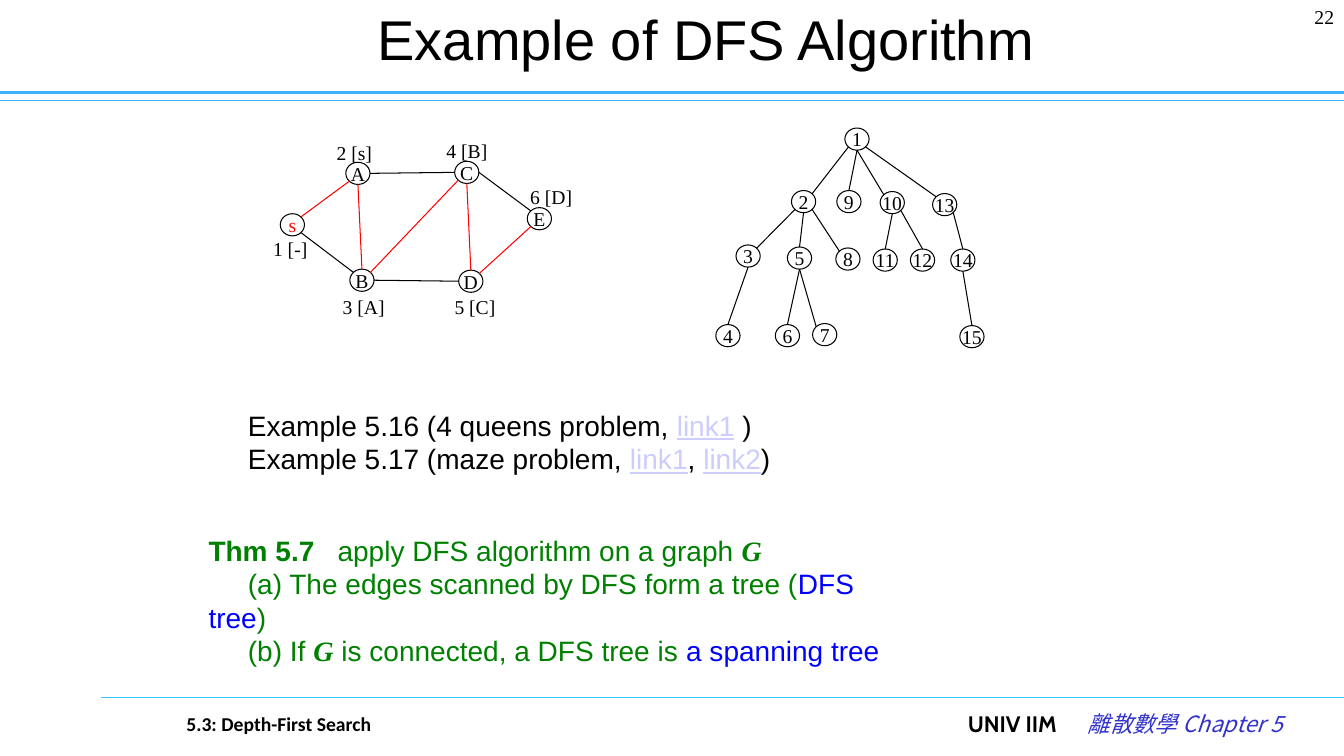
from lxml.etree import SubElement
from pptx import Presentation
from pptx.dml.color import RGBColor
from pptx.enum.shapes import MSO_CONNECTOR, MSO_SHAPE
from pptx.enum.text import MSO_ANCHOR, PP_ALIGN
from pptx.oxml.ns import qn
from pptx.util import Inches, Pt

COLORS = {
    "black": "000000", "red": "FF0000", "green": "008000", "blue": "0000FF",
    "link": "CCCCFF", "violet": "3333CC", "sky": "3DB0FF", "cyan": "33CCFF",
}
SERIF = "Times New Roman"
NODE_WIDTH, NODE_HEIGHT = 0.24, 0.22
DIAGONAL = 0.35
SIDES = {
    "n": (0, -0.5), "s": (0, 0.5), "w": (-0.5, 0), "e": (0.5, 0),
    "nw": (-DIAGONAL, -DIAGONAL), "ne": (DIAGONAL, -DIAGONAL),
    "sw": (-DIAGONAL, DIAGONAL), "se": (DIAGONAL, DIAGONAL),
}

GRAPH_NODES = {
    "A": (3.43, 1.61), "s": (2.78, 2.12), "C": (4.51, 1.6),
    "B": (3.47, 2.67), "D": (4.55, 2.68), "E": (5.23, 2.06),
}
GRAPH_EDGES = [
    ("A", "s", "B", "n", "red"), ("s", "se", "B", "nw", "black"),
    ("B", "ne", "C", "sw", "red"), ("B", "e", "D", "w", "black"),
    ("A", "e", "C", "w", "black"), ("C", "e", "E", "nw", "black"),
    ("s", "ne", "A", "sw", "red"), ("C", "s", "D", "n", "red"),
    ("E", "sw", "D", "ne", "red"),
]
VISIT_LABELS = [
    ("1 [-]", 2.61, 2.3), ("2 [s]", 3.24, 1.35), ("3 [A]", 3.3, 2.88),
    ("4 [B]", 4.33, 1.33), ("5 [C]", 4.41, 2.88), ("6 [D]", 5.16, 1.79),
]
TREE_NODES = {
    "1": (8.38, 1.27), "2": (7.85, 1.89), "9": (8.3, 1.89),
    "10": (8.73, 1.9), "13": (9.25, 1.92), "3": (7.3, 2.43),
    "5": (7.81, 2.45), "8": (8.29, 2.46), "11": (8.66, 2.47),
    "12": (9.03, 2.47), "14": (9.43, 2.47), "4": (7.1, 3.22),
    "6": (7.69, 3.22), "7": (8.06, 3.21), "15": (9.52, 3.23),
}
TREE_EDGES = [
    ("1", "sw", "2", "ne"), ("1", "s", "9", "n"), ("1", "s", "10", "nw"),
    ("1", "se", "13", "nw"), ("2", "sw", "3", "ne"), ("2", "s", "5", "n"),
    ("2", "se", "8", "nw"), ("3", "s", "4", "n"), ("5", "s", "6", "n"),
    ("5", "s", "7", "nw"), ("10", "s", "11", "n"), ("10", "se", "12", "n"),
    ("13", "se", "14", "n"), ("14", "s", "15", "n"),
]


def write(para, text, size=14, font=SERIF, color="black", bold=False,
          italic=False, underline=False):
    span = para.add_run()
    span.text = text
    span.font.size = Pt(size)
    span.font.name = font
    span.font.bold = bold
    span.font.italic = italic
    span.font.underline = underline
    span.font.color.rgb = RGBColor.from_string(COLORS[color])
    return span


def add_box(page, left, top, width, height, align=PP_ALIGN.LEFT):
    box = page.shapes.add_textbox(
        Inches(left), Inches(top), Inches(width), Inches(height))
    box.text_frame.word_wrap = True
    box.text_frame.paragraphs[0].alignment = align
    return box.text_frame


def add_line(page, start, end, color="black", weight=0.75):
    line = page.shapes.add_connector(
        MSO_CONNECTOR.STRAIGHT, *(Inches(value) for value in (*start, *end)))
    line.line.color.rgb = RGBColor.from_string(COLORS[color])
    line.line.width = Pt(weight)
    SubElement(line._element.spPr, qn("a:effectLst"))


def add_node(page, name, left, top, color="black"):
    node = page.shapes.add_shape(
        MSO_SHAPE.FLOWCHART_CONNECTOR, Inches(left), Inches(top),
        Inches(NODE_WIDTH), Inches(NODE_HEIGHT))
    node.shadow.inherit = False
    node.fill.background()
    node.line.color.rgb = RGBColor.from_string(COLORS["black"])
    node.line.width = Pt(0.75)
    frame = node.text_frame
    frame.word_wrap = False
    frame.vertical_anchor = MSO_ANCHOR.MIDDLE
    frame.margin_left = frame.margin_right = 0
    frame.margin_top = frame.margin_bottom = 0
    frame.paragraphs[0].alignment = PP_ALIGN.CENTER
    write(frame.paragraphs[0], name, color=color)


def side_point(corner, side):
    across, down = SIDES[side]
    return (corner[0] + NODE_WIDTH * (0.5 + across),
            corner[1] + NODE_HEIGHT * (0.5 + down))


def add_network(page, nodes, edges):
    for name, corner in nodes.items():
        add_node(page, name, *corner, color="red" if name == "s" else "black")
    for first, first_side, second, second_side, *color in edges:
        add_line(page, side_point(nodes[first], first_side),
                 side_point(nodes[second], second_side), *color)


def indent_first_line(para, distance):
    para._p.get_or_add_pPr().set("indent", str(Inches(distance)))


def add_tab_stop(para, distance):
    stops = SubElement(para._p.get_or_add_pPr(), qn("a:tabLst"))
    SubElement(stops, qn("a:tab"), pos=str(Inches(distance)), algn="l")


def add_frame_lines(page):
    add_line(page, (0, 1), (13.33, 1), "sky")
    add_line(page, (0, 0.92), (13.33, 0.92), "sky", 2.5)
    add_line(page, (1, 6.92), (13.33, 6.92), "cyan")


def add_title(page):
    title = page.shapes.title
    title.left, title.top = Inches(1.78), Inches(0)
    title.width, title.height = Inches(10.44), Inches(0.75)
    title.text_frame.vertical_anchor = MSO_ANCHOR.MIDDLE
    para = title.text_frame.paragraphs[0]
    para.alignment = PP_ALIGN.CENTER
    write(para, "Example of DFS Algorithm", size=40, font="Arial")


def add_footer(page):
    section = add_box(page, 1.75, 7.01, 2.3, 0.34)
    write(section.paragraphs[0], "5.3: Depth-First Search", font="Calibri", bold=True)
    school = add_box(page, 8.58, 7, 2, 0.5, align=PP_ALIGN.RIGHT)
    write(school.paragraphs[0], "UNIV IIM", size=16, font="Cabin", bold=True)
    chapter = add_box(page, 10.5, 7, 2.32, 0.5, align=PP_ALIGN.RIGHT)
    span = write(chapter.paragraphs[0], "離散數學 Chapter 5", size=16,
                 font="Noto Sans CJK SC", color="violet", italic=True)
    SubElement(span.font._element, qn("a:ea"), typeface="Noto Sans CJK SC")
    number = add_box(page, 12.22, 0, 1.11, 0.5, align=PP_ALIGN.RIGHT)
    write(number.paragraphs[0], "22")


def add_visit_label(page, label, left, top):
    frame = add_box(page, left, top, 0.8, 0.33)
    write(frame.paragraphs[0], label)


def add_examples(page):
    frame = add_box(page, 2.36, 4, 5.5, 0.77)
    body = {"size": 20, "font": "Arial"}
    link = {**body, "color": "link", "underline": True}
    queens = frame.paragraphs[0]
    write(queens, "Example 5.16 (4 queens problem, ", **body)
    write(queens, "link1", **link)
    write(queens, " )", **body)
    maze = frame.add_paragraph()
    write(maze, "Example 5.17 (maze problem, ", **body)
    write(maze, "link1", **link)
    write(maze, ", ", **body)
    write(maze, "link2", **link)
    write(maze, ")", **body)


def add_theorem(page):
    frame = add_box(page, 1.97, 5.24, 7, 1.43)
    body = {"size": 20, "font": "Arial", "color": "green"}
    key = {**body, "color": "blue"}
    symbol = {**body, "font": SERIF, "bold": True, "italic": True}
    heading = frame.paragraphs[0]
    add_tab_stop(heading, 1.28)
    write(heading, "Thm 5.7\t", **body, bold=True)
    write(heading, "apply DFS algorithm on a graph ", **body)
    write(heading, "G", **symbol)
    tree = frame.add_paragraph()
    indent_first_line(tree, 0.39)
    write(tree, "(a) The edges scanned by DFS form a tree (", **body)
    write(tree, "DFS tree", **key)
    write(tree, ")", **body)
    spanning = frame.add_paragraph()
    indent_first_line(spanning, 0.39)
    write(spanning, "(b) If ", **body)
    write(spanning, "G", **symbol)
    write(spanning, " is connected, a DFS tree is ", **body)
    write(spanning, "a spanning tree", **key)


def main():
    deck = Presentation()
    deck.slide_width, deck.slide_height = Inches(13.33), Inches(7.5)
    page = deck.slides.add_slide(deck.slide_layouts[5])
    add_frame_lines(page)
    add_title(page)
    add_network(page, GRAPH_NODES, GRAPH_EDGES)
    for label, left, top in VISIT_LABELS:
        add_visit_label(page, label, left, top)
    add_network(page, TREE_NODES, TREE_EDGES)
    add_examples(page)
    add_theorem(page)
    add_footer(page)
    deck.save("out.pptx")


if __name__ == "__main__":
    main()
